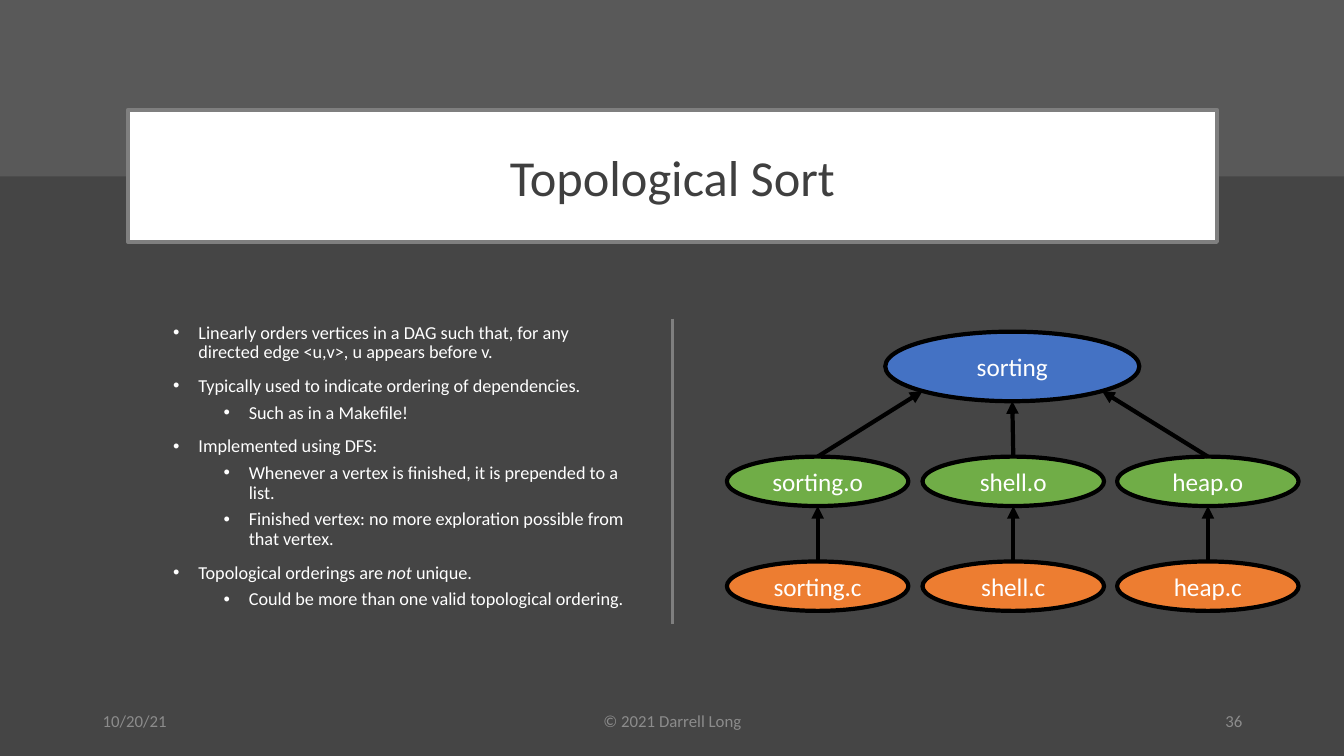
"""Build the Topological Sort slide with its dependency graph."""
import pptx
import pptx.dml.color
import pptx.enum.shapes
import pptx.enum.text
import pptx.oxml.ns
import pptx.util
from lxml import etree

RGBColor = pptx.dml.color.RGBColor
ALIGN = pptx.enum.text.PP_ALIGN
ANCHOR = pptx.enum.text.MSO_ANCHOR
SHAPE = pptx.enum.shapes.MSO_SHAPE
STRAIGHT = pptx.enum.shapes.MSO_CONNECTOR.STRAIGHT
qn = pptx.oxml.ns.qn
PX = 9144

BACKGROUND = RGBColor(0x45, 0x45, 0x45)
BAND = RGBColor(0x59, 0x59, 0x59)
WHITE = RGBColor(0xFF, 0xFF, 0xFF)
BLACK = RGBColor(0x00, 0x00, 0x00)
GRAY = RGBColor(0x7F, 0x7F, 0x7F)
TITLE = RGBColor(0x3F, 0x3F, 0x3F)
FOOTER = RGBColor(0x8C, 0x8C, 0x8C)
BLUE = RGBColor(0x44, 0x72, 0xC4)
GREEN = RGBColor(0x70, 0xAD, 0x47)
ORANGE = RGBColor(0xED, 0x7D, 0x31)

presentation = pptx.Presentation()
presentation.slide_width = 1333 * PX
presentation.slide_height = 750 * PX
slide = presentation.slides.add_slide(presentation.slide_layouts[6])
slide.background.fill.solid()
slide.background.fill.fore_color.rgb = BACKGROUND


def add_block(kind, box, fill, line, text="", size=18, color=WHITE):
    shape = slide.shapes.add_shape(kind, *[value * PX for value in box])
    shape.shadow.inherit = False
    shape.fill.solid()
    shape.fill.fore_color.rgb = fill
    if line is None:
        shape.line.fill.background()
    else:
        shape.line.color.rgb = line
        shape.line.width = pptx.util.Pt(3)
    if text:
        shape.text_frame.vertical_anchor = ANCHOR.MIDDLE
        paragraph = shape.text_frame.paragraphs[0]
        paragraph.text = text
        paragraph.alignment = ALIGN.CENTER
        paragraph.font.name = "Calibri"
        paragraph.font.size = pptx.util.Pt(size)
        paragraph.font.color.rgb = color
    return shape


def add_line(start, end, color, width):
    connector = slide.shapes.add_connector(
        STRAIGHT, *[value * PX for value in start + end])
    connector.line.color.rgb = color
    connector.line.width = pptx.util.Pt(width)
    etree.SubElement(connector._element.spPr, qn("a:effectLst"))
    return connector


add_block(SHAPE.RECTANGLE, (0, 0, 1333, 175), BAND, None)
add_block(SHAPE.RECTANGLE, (127, 109, 1080, 131), WHITE, GRAY,
          "Topological Sort", 36, TITLE)

bullets = [
    (0, ["Linearly orders vertices in a DAG such that, for any directed edge "
         "<u,v>, u appears before v."]),
    (0, ["Typically used to indicate ordering of dependencies."]),
    (1, ["Such as in a Makefile!"]),
    (0, ["Implemented using DFS:"]),
    (1, ["Whenever a vertex is finished, it is prepended to a list."]),
    (1, ["Finished vertex: no more exploration possible from that vertex."]),
    (0, ["Topological orderings are ", "not ", "unique."]),
    (1, ["Could be more than one valid topological ordering."]),
]
body = slide.shapes.add_textbox(162 * PX, 316 * PX, 470 * PX, 324 * PX).text_frame
body.word_wrap = True
for index, (level, pieces) in enumerate(bullets):
    paragraph = body.add_paragraph() if index else body.paragraphs[0]
    paragraph.level = level
    properties = paragraph._p.get_or_add_pPr()
    properties.set("marL", str((25 + 50 * level) * PX))
    properties.set("indent", str(-25 * PX))
    etree.SubElement(properties, qn("a:buFont")).set("typeface", "Arial")
    etree.SubElement(properties, qn("a:buChar")).set("char", "•")
    paragraph.line_spacing = 0.9
    if index:
        paragraph.space_before = pptx.util.Pt(5 if level else 10)
    paragraph.font.name = "Calibri"
    paragraph.font.size = pptx.util.Pt(13)
    paragraph.font.color.rgb = WHITE
    for piece in pieces:
        run = paragraph.add_run()
        run.text = piece
        if piece == "not ":
            run.font.italic = True

add_line((667, 316), (667, 619), GRAY, 1.5)

footers = [
    (92, 300, "10/20/21", ALIGN.LEFT),
    (442, 450, "© 2021 Darrell Long", ALIGN.CENTER),
    (942, 300, "36", ALIGN.RIGHT),
]
for left, width, text, alignment in footers:
    frame = slide.shapes.add_textbox(
        left * PX, 695 * PX, width * PX, 40 * PX).text_frame
    frame.word_wrap = True
    frame.vertical_anchor = ANCHOR.MIDDLE
    paragraph = frame.paragraphs[0]
    paragraph.text = text
    paragraph.alignment = alignment
    paragraph.space_after = pptx.util.Pt(6)
    paragraph.font.name = "Calibri"
    paragraph.font.size = pptx.util.Pt(12)
    paragraph.font.color.rgb = FOOTER

add_block(SHAPE.OVAL, (878, 329, 252, 69), BLUE, BLACK, "sorting")
targets = [(915, 388), (1004, 398), (1093, 388)]
for column, (name, target) in enumerate(zip(("sorting", "shell", "heap"), targets)):
    left = 721 + round(193.5 * column)
    center = left + 90
    object_file = add_block(
        SHAPE.OVAL, (left, 453, 180, 49), GREEN, BLACK, name + ".o")
    source_file = add_block(
        SHAPE.OVAL, (left, 557, 180, 49), ORANGE, BLACK, name + ".c")
    for node, start, end in ((object_file, (center, 453), target),
                             (source_file, (center, 557), (center, 502))):
        arrow = add_line(start, end, BLACK, 3)
        arrow.begin_connect(node, 0)
        etree.SubElement(arrow.line._get_or_add_ln(), qn("a:tailEnd")).set(
            "type", "triangle")

presentation.save("out.pptx")
